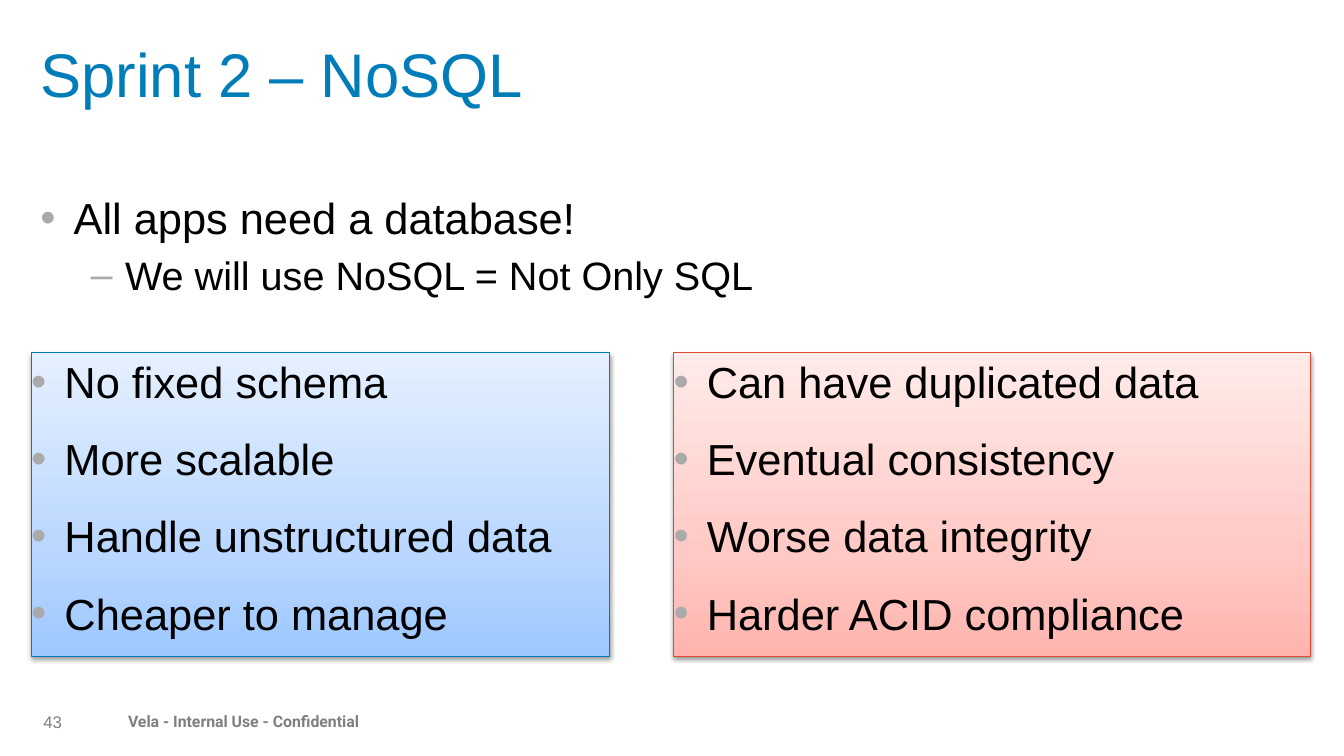
from lxml import etree
from pptx import Presentation
from pptx.dml.color import RGBColor
from pptx.enum.shapes import MSO_SHAPE
from pptx.enum.text import MSO_ANCHOR, MSO_AUTO_SIZE, PP_ALIGN
from pptx.oxml import parse_xml
from pptx.oxml.ns import nsdecls, qn
from pptx.util import Pt
from copy import deepcopy

PX = 9144  # EMU per px, 100 px to the inch
RECTANGLE = MSO_SHAPE.RECTANGLE
TOP, MIDDLE = MSO_ANCHOR.TOP, MSO_ANCHOR.MIDDLE
LEFT = PP_ALIGN.LEFT
NO_AUTOFIT = MSO_AUTO_SIZE.NONE

COLORS = {
    "title": "007DB8", "text": "000000", "bullet": "AAAAAA",
    "footer": "7F7F7F", "number": "808080",
    "pros_line": "007AB4", "cons_line": "DB4B2F",
}
GRADIENTS = {
    "pros": ((0, "9DC8FF"), (0.35, "BAD7FF"), (1, "E5F0FF")),
    "cons": ((0, "FFB4AE"), (0.35, "FFCAC6"), (1, "FFEBE9")),
}
# level: (bullet, left margin px, hanging px, size, space before)
LEVELS = {0: ("•", 33, 33, 31, 16), 1: ("–", 84, 34, 28.3, 4)}


class SlideBuilder:
    def __init__(self, slide, font="Arial"):
        self.slide = slide
        self.font = font

    def place(self, shape, left, top, width, height):
        shape.left, shape.top = left * PX, top * PX
        shape.width, shape.height = width * PX, height * PX

    def frame(self, shape, margins=(0, 0, 0, 0), anchor=TOP):
        frame = shape.text_frame
        frame.word_wrap = True
        frame.auto_size = NO_AUTOFIT
        frame.vertical_anchor = anchor
        (frame.margin_left, frame.margin_top,
         frame.margin_right, frame.margin_bottom) = (m * PX for m in margins)
        return frame

    def style(self, paragraph, size, color, spacing, font=None, bold=False):
        paragraph.alignment = LEFT
        paragraph.line_spacing = spacing
        paragraph.font.name = font or self.font
        paragraph.font.size = Pt(size)
        paragraph.font.bold = bold
        paragraph.font.color.rgb = RGBColor.from_string(COLORS[color])

    def title(self, text, box):
        title = self.slide.shapes.title
        self.place(title, *box)
        frame = self.frame(title, (0, 5, 0, 5))
        frame.text = text
        self.style(frame.paragraphs[0], 44, "title", 0.9)

    def bullets(self, shape, items):
        """Fill a shape with (level, text) items."""
        frame = self.frame(shape)
        frame.text = "\n".join(text for _, text in items)
        for index, (paragraph, (level, _)) in enumerate(zip(frame.paragraphs, items)):
            mark, margin, hanging, size, before = LEVELS[level]
            paragraph.level = level
            properties = paragraph._p.get_or_add_pPr()
            properties.set("marL", str(margin * PX))
            properties.set("indent", str(-hanging * PX))
            color = etree.SubElement(properties, qn("a:buClr"))
            etree.SubElement(color, qn("a:srgbClr"), val=COLORS["bullet"])
            etree.SubElement(properties, qn("a:buFont"), typeface=self.font)
            etree.SubElement(properties, qn("a:buChar"), char=mark)
            paragraph.space_before = Pt(before if index else 0)
            self.style(paragraph, size, "text", 1.05)

    def body(self, items, box):
        body = self.slide.placeholders[1]
        self.place(body, *box)
        self.bullets(body, items)

    def panel(self, kind, texts, box):
        panel = self.slide.shapes.add_shape(RECTANGLE, *(v * PX for v in box))
        panel.line.color.rgb = RGBColor.from_string(COLORS[kind + "_line"])
        panel.line.width = Pt(0.75)
        self.gradient(panel.fill, GRADIENTS[kind])
        self.soft_shadow(panel)
        self.bullets(panel, [(0, text) for text in texts])

    def gradient(self, fill, stops):
        fill.gradient()
        fill.gradient_angle = 90
        stop_list = fill._xPr.find(qn("a:gradFill")).find(qn("a:gsLst"))
        while len(stop_list) < len(stops):
            stop_list.append(deepcopy(stop_list[0]))
        for stop, (position, color) in zip(fill.gradient_stops, stops):
            stop.position = position
            stop.color.rgb = RGBColor.from_string(color)

    def soft_shadow(self, shape):
        shape.shadow.inherit = False
        effects = shape._element.spPr.find(qn("a:effectLst"))
        effects.append(parse_xml(
            f'<a:outerShdw {nsdecls("a")} blurRad="{Pt(3.1)}" dist="{Pt(1.6)}" '
            'dir="5400000" rotWithShape="0"><a:srgbClr val="000000">'
            '<a:alpha val="38000"/></a:srgbClr></a:outerShdw>'))

    def label(self, text, box, size, color, margins=(0, 0, 0, 0), anchor=TOP, **style):
        label = self.slide.shapes.add_textbox(*(v * PX for v in box))
        frame = self.frame(label, margins, anchor)
        frame.text = text
        self.style(frame.paragraphs[0], size, color, 0.9, **style)


def main():
    deck = Presentation()
    deck.slide_width, deck.slide_height = 1333 * PX, 750 * PX
    builder = SlideBuilder(deck.slides.add_slide(deck.slide_layouts[1]))

    builder.label("Vela - Internal Use - Confidential", (0, 703, 1333, 47), 11.3,
                  "footer", margins=(127, 5, 10, 5), font="Roboto", bold=True)
    builder.label("43", (43, 711, 39, 13), 12, "number", anchor=MIDDLE)
    builder.title("Sprint 2 – NoSQL", (40, 39, 1160, 93))
    builder.body([(0, "All apps need a database!"),
                  (1, "We will use NoSQL = Not Only SQL")], (40, 187, 724, 124))
    builder.panel("cons", ["Can have duplicated data", "Eventual consistency",
                           "Worse data integrity", "Harder ACID compliance"],
                  (668, 350, 632, 301))
    builder.panel("pros", ["No fixed schema", "More scalable",
                           "Handle unstructured data", "Cheaper to manage"],
                  (31, 350, 574, 301))
    deck.save("out.pptx")


if __name__ == "__main__":
    main()
